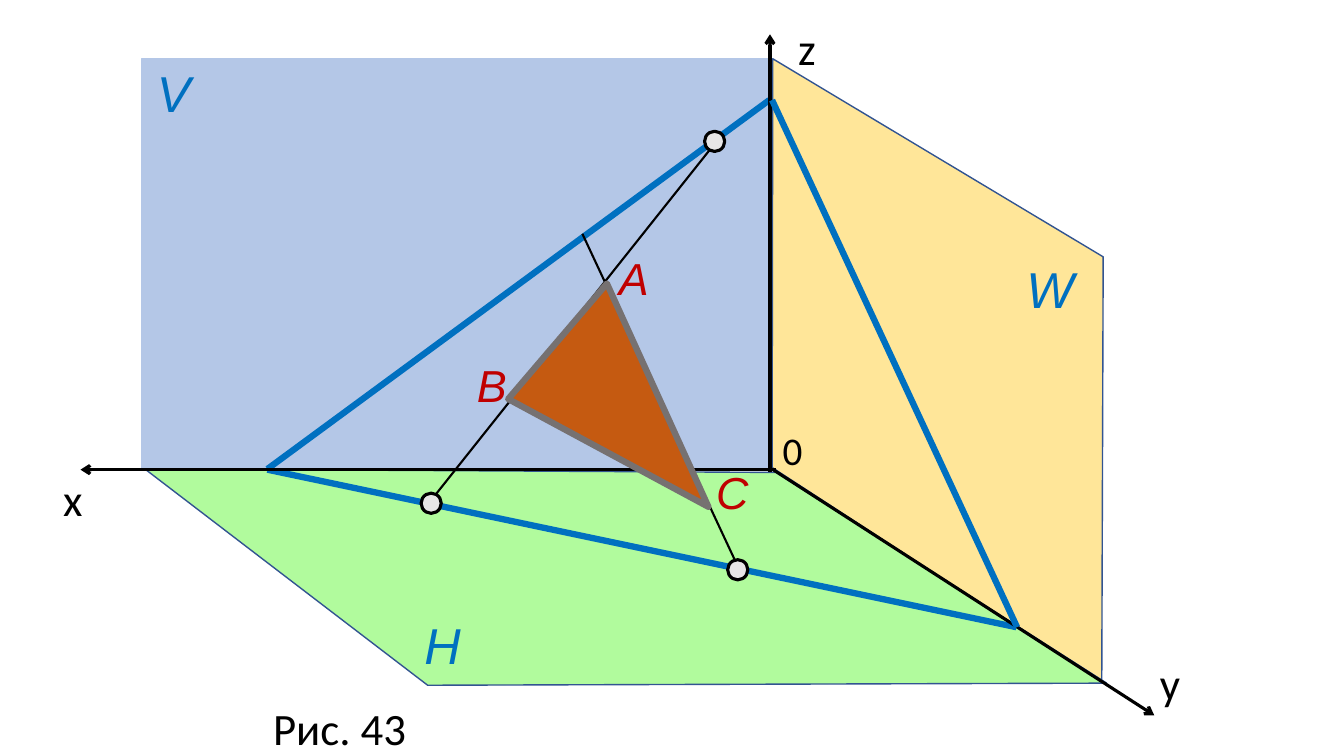
from lxml import etree
from pptx import Presentation
from pptx.dml.color import RGBColor
from pptx.enum.shapes import MSO_CONNECTOR as Connector, MSO_SHAPE as Preset
from pptx.oxml.ns import qn
from pptx.util import Pt

BLACK = RGBColor(0x00, 0x00, 0x00)
BLUE = RGBColor(0x00, 0x70, 0xC0)
RED = RGBColor(0xC0, 0x00, 0x00)
EDGE = RGBColor(0x32, 0x54, 0x91)
V_FILL = RGBColor(0xB4, 0xC7, 0xE7)
W_FILL = RGBColor(0xFF, 0xE6, 0x99)
H_FILL = RGBColor(0xB1, 0xFB, 0x9D)
DOT_FILL = RGBColor(0xE7, 0xE6, 0xE6)
TRIANGLE_FILL = RGBColor(0xC5, 0x5A, 0x11)
TRIANGLE_EDGE = RGBColor(0x76, 0x71, 0x71)

presentation = Presentation()
presentation.slide_width, presentation.slide_height = Pt(960), Pt(540)
slide = presentation.slides.add_slide(presentation.slide_layouts[6])
shapes = slide.shapes


def paint(shape, fill, line, width):
    shape.shadow.inherit = False
    shape.fill.solid()
    shape.fill.fore_color.rgb = fill
    shape.line.color.rgb = line
    shape.line.width = Pt(width)


def add_polygon(points, fill, line, width):
    corners = [(Pt(x), Pt(y)) for x, y in points]
    builder = shapes.build_freeform(*corners[0], scale=1.0)
    builder.add_line_segments(corners[1:], close=True)
    paint(builder.convert_to_shape(), fill, line, width)


# Projection planes W, V and H
add_polygon([(552, 42), (788, 183.5), (787, 487.5), (551.5, 334)], W_FILL, EDGE, 1)
plane_v = shapes.add_shape(Preset.RECTANGLE, Pt(101.5), Pt(42), Pt(448.5), Pt(293.5))
paint(plane_v, V_FILL, V_FILL, 1)
add_polygon([(103.5, 335), (554.5, 337.5), (790.5, 488), (305.5, 489.5)], H_FILL, EDGE, 1)

# Plane traces, triangle side extensions and axes: start, end, colour, width, arrow
lines = [
    ((191, 335), (549.5, 71.5), BLUE, 4.5, False),
    ((726, 448), (191, 335.5), BLUE, 4.5, False),
    ((307, 358.5), (511, 102), BLACK, 1.5, False),
    ((530.5, 412), (416, 167), BLACK, 1.5, False),
    ((554.5, 335.5), (57.5, 335.5), BLACK, 2.25, True),
    ((550, 337), (550, 24.5), BLACK, 2.25, True),
    ((551.5, 335), (824.5, 511), BLACK, 2.25, True),
    ((726.5, 448), (551.5, 71.5), BLUE, 4.5, False),
]
for start, end, colour, width, arrow in lines:
    connector = shapes.add_connector(
        Connector.STRAIGHT, *(Pt(value) for value in start + end))
    connector.line.color.rgb = colour
    connector.line.width = Pt(width)
    if arrow:
        etree.SubElement(connector.line._get_or_add_ln(), qn("a:tailEnd"), type="arrow")
    etree.SubElement(connector._element.spPr, qn("a:effectLst"))

# Points where the triangle sides meet the traces
DOT = 14.4
for x, y in [(510.5, 101), (308, 359.5), (527, 407)]:
    dot = shapes.add_shape(
        Preset.OVAL, Pt(x - DOT / 2), Pt(y - DOT / 2), Pt(DOT), Pt(DOT))
    paint(dot, DOT_FILL, BLACK, 2.25)

# Triangle ABC
add_polygon([(363, 285), (433.5, 202.5), (506, 362)], TRIANGLE_FILL, TRIANGLE_EDGE, 4.5)

# Labels: text, left, top, width, height
axis_style = dict(name="Calibri", size=Pt(32), italic=False)
label_groups = [
    (axis_style, BLACK, [
        ("x", 38, 333.5, 36, 46), ("y", 821.5, 465, 36, 46),
        ("z", 563, 11.5, 36, 46), ("Рис. 43", 188, 497, 130, 46)]),
    (dict(axis_style, size=Pt(28)), BLACK, [("0", 552, 301, 64, 41)]),
    (dict(name="Arial", size=Pt(32), italic=True), RED, [
        ("A", 435, 175.5, 40, 46), ("B", 333.5, 252, 40, 46),
        ("C", 504.5, 328.5, 40, 46)]),
    (dict(name="Arial", size=Pt(36), italic=True), BLUE, [
        ("V", 105, 40.5, 64, 51), ("W", 726, 180.5, 64, 51),
        ("H", 296, 435, 64, 51)]),
]
for style, colour, labels in label_groups:
    for text, *box in labels:
        frame = shapes.add_textbox(*(Pt(value) for value in box)).text_frame
        frame.word_wrap = True
        paragraph = frame.paragraphs[0]
        run = paragraph.add_run()
        run.text = text
        for key, value in style.items():
            setattr(run.font, key, value)
        run.font.color.rgb = colour

presentation.save("out.pptx")
